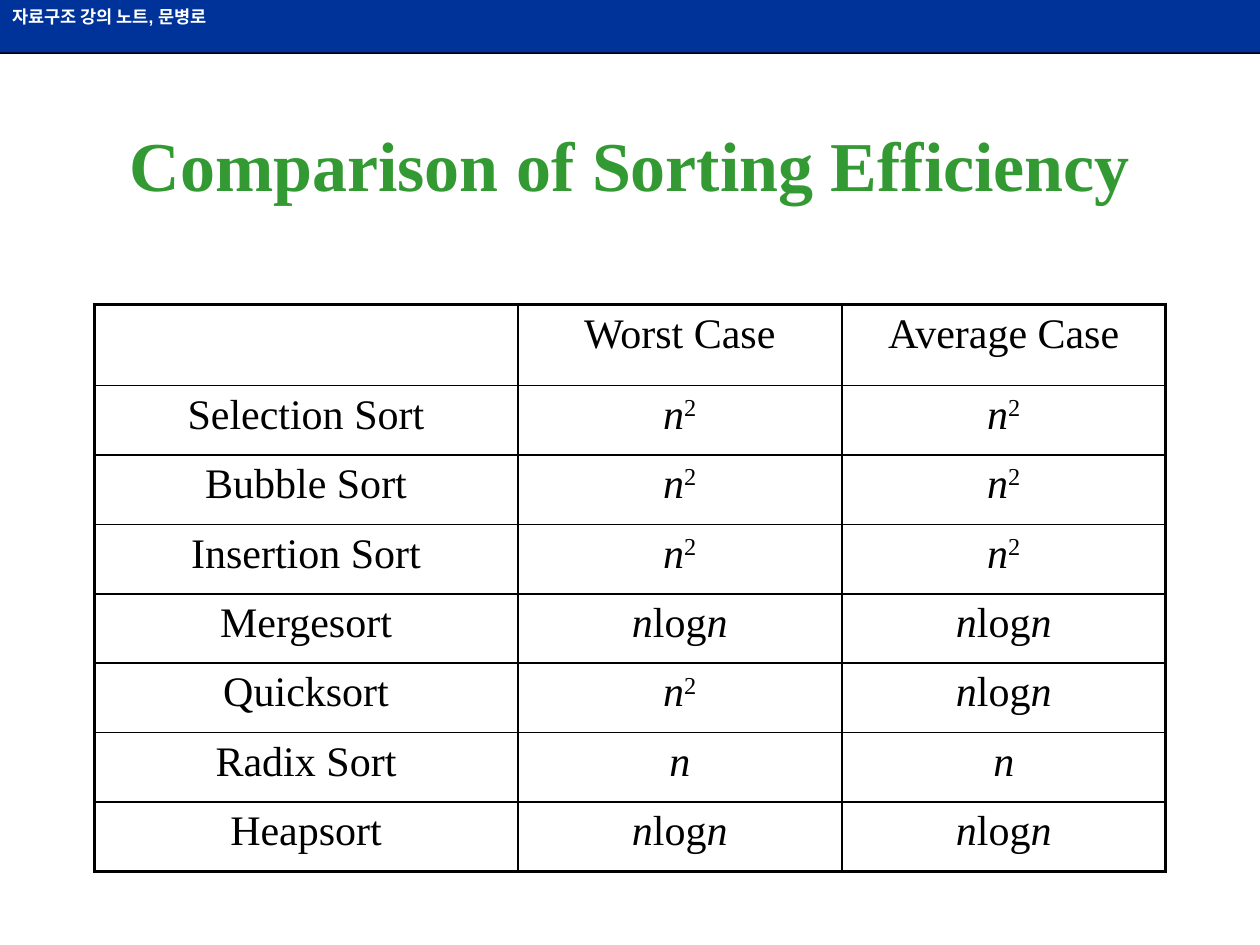
import pptx
import pptx.dml.color
import pptx.enum.shapes
import pptx.enum.text
import pptx.oxml
import pptx.oxml.ns
import pptx.util
from lxml import etree

Cm, Pt = pptx.util.Cm, pptx.util.Pt
RGB = pptx.dml.color.RGBColor.from_string
ALIGN = pptx.enum.text.PP_ALIGN
ANCHOR = pptx.enum.text.MSO_ANCHOR
qn = pptx.oxml.ns.qn

THEME = {
    "band": "003399",
    "line": "000000",
    "header": dict(name="Arial", size=Pt(10), bold=True, color="FFFFFF"),
    "title": dict(name="Times New Roman", size=Pt(40), bold=True, color="339933"),
    "cell": dict(name="Times New Roman", size=Pt(24), bold=False, color="000000"),
    "outer": 2.25,
    "inner": 1,
}

# Complexities as (text, style) runs
SQUARE = [("n", "italic"), ("2", "super")]
NLOGN = [("n", "italic"), ("log", ""), ("n", "italic")]
LINEAR = [("n", "italic")]


def plain(text):
    return [(text, "")]


ROWS = [
    ([], plain("Worst Case"), plain("Average Case")),
    (plain("Selection Sort"), SQUARE, SQUARE),
    (plain("Bubble Sort"), SQUARE, SQUARE),
    (plain("Insertion Sort"), SQUARE, SQUARE),
    (plain("Mergesort"), NLOGN, NLOGN),
    (plain("Quicksort"), SQUARE, NLOGN),
    (plain("Radix Sort"), LINEAR, LINEAR),
    (plain("Heapsort"), NLOGN, NLOGN),
]


def write(tf, runs, fmt, align):
    p = tf.paragraphs[0]
    p.alignment = align
    for text, style in runs:
        r = p.add_run()
        r.text = text
        for key, value in fmt.items():
            if key == "color":
                r.font.color.rgb = RGB(value)
            else:
                setattr(r.font, key, value)
        if style == "italic":
            r.font.italic = True
        elif style == "super":
            r.font._element.set("baseline", "30000")


def add_header(s, x, y, w, h):
    # Rule under the band
    rule = s.shapes.add_connector(
        pptx.enum.shapes.MSO_CONNECTOR.STRAIGHT, Cm(x), Cm(y + h), Cm(x + w), Cm(y + h))
    rule.line.color.rgb = RGB(THEME["line"])
    rule.line.width = Pt(1.5)
    etree.SubElement(rule._element.spPr, qn("a:effectLst"))
    # Band with the lecture name
    sp = s.shapes.add_shape(
        pptx.enum.shapes.MSO_SHAPE.RECTANGLE, Cm(x), Cm(y), Cm(w), Cm(h))
    sp.shadow.inherit = False
    sp.fill.solid()
    sp.fill.fore_color.rgb = RGB(THEME["band"])
    sp.line.fill.background()
    sp.text_frame.vertical_anchor = ANCHOR.TOP
    write(sp.text_frame, plain("자료구조 강의 노트, 문병로"), THEME["header"], ALIGN.LEFT)


def add_title(s, x, y, w, h):
    tf = s.shapes.add_textbox(Cm(x), Cm(y), Cm(w), Cm(h)).text_frame
    tf.word_wrap = True
    tf.vertical_anchor = ANCHOR.MIDDLE
    write(tf, plain("Comparison of Sorting Efficiency"), THEME["title"], ALIGN.CENTER)


def set_borders(cell, widths):
    tc_pr = cell._tc.get_or_add_tcPr()
    for side, width in widths.items():
        ln = etree.SubElement(tc_pr, qn("a:ln" + side), w=str(Pt(width)))
        fill = etree.SubElement(ln, qn("a:solidFill"))
        etree.SubElement(fill, qn("a:srgbClr"), val=THEME["line"])


def add_sort_table(s, x, y, w, h):
    label_w, head_h = 8.54, 1.63
    n_rows, n_cols = len(ROWS), len(ROWS[0])
    table = s.shapes.add_table(n_rows, n_cols, Cm(x), Cm(y), Cm(w), Cm(h)).table
    table.first_row = table.horz_banding = False
    for j, col in enumerate(table.columns):
        col.width = Cm(label_w if j == 0 else (w - label_w) / (n_cols - 1))
    for i, row in enumerate(table.rows):
        row.height = Cm(head_h if i == 0 else (h - head_h) / (n_rows - 1))
        for j, runs in enumerate(ROWS[i]):
            cell = table.cell(i, j)
            # Heavy frame outside, thin grid inside
            at_edge = {"L": j == 0, "R": j == n_cols - 1,
                       "T": i == 0, "B": i == n_rows - 1}
            set_borders(cell, {side: THEME["outer" if edge else "inner"]
                               for side, edge in at_edge.items()})
            cell.fill.background()
            write(cell.text_frame, runs, THEME["cell"], ALIGN.CENTER)


def main():
    prs = pptx.Presentation()
    prs.slide_width, prs.slide_height = Cm(25.4), Cm(19.05)
    s = prs.slides.add_slide(prs.slide_layouts[6])
    add_header(s, 0, 0, 25.4, 1.06)
    add_title(s, 1.9, 1.7, 21.6, 3.18)
    add_sort_table(s, 1.9, 6.14, 21.6, 11.43)
    prs.save("out.pptx")


if __name__ == "__main__":
    main()
